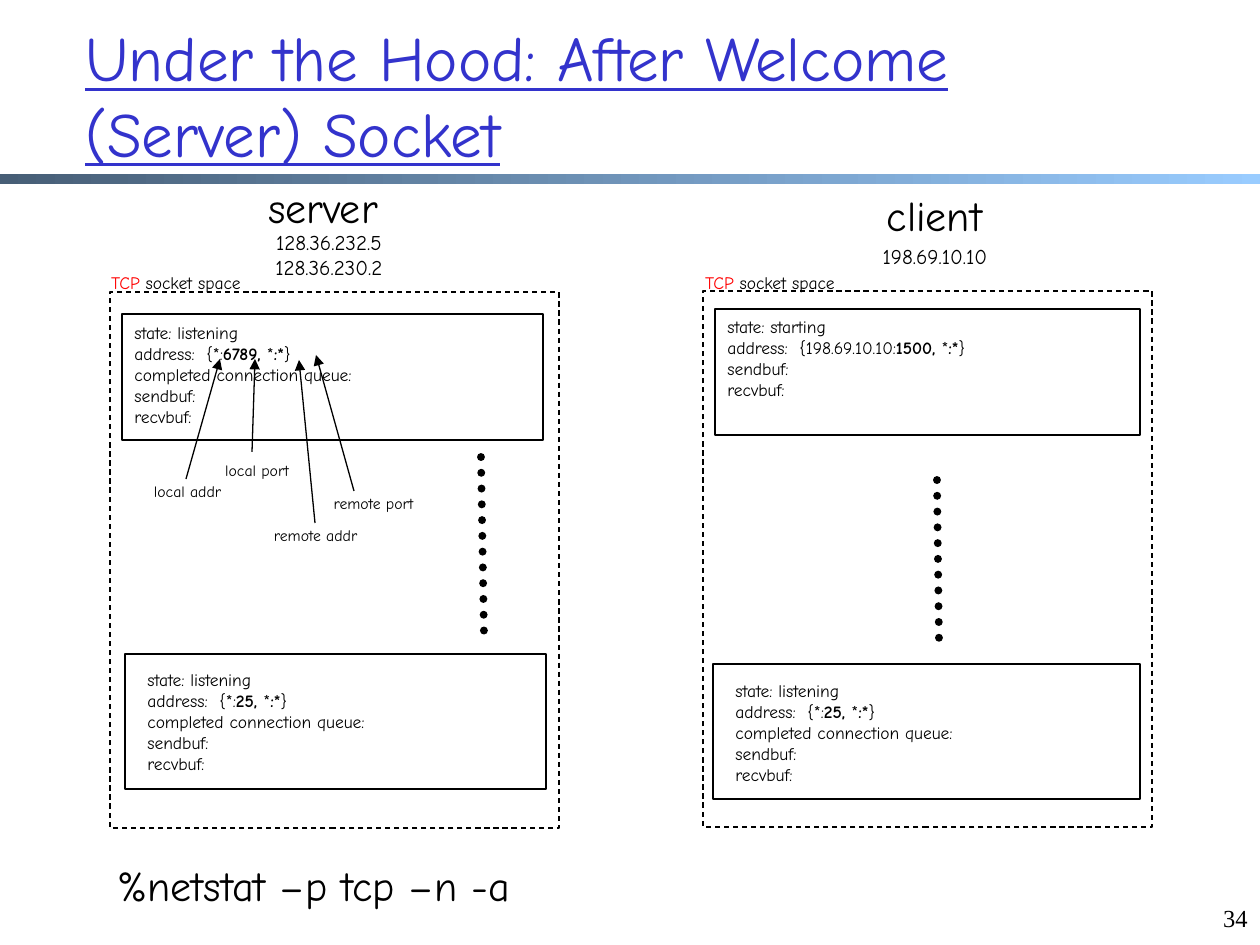
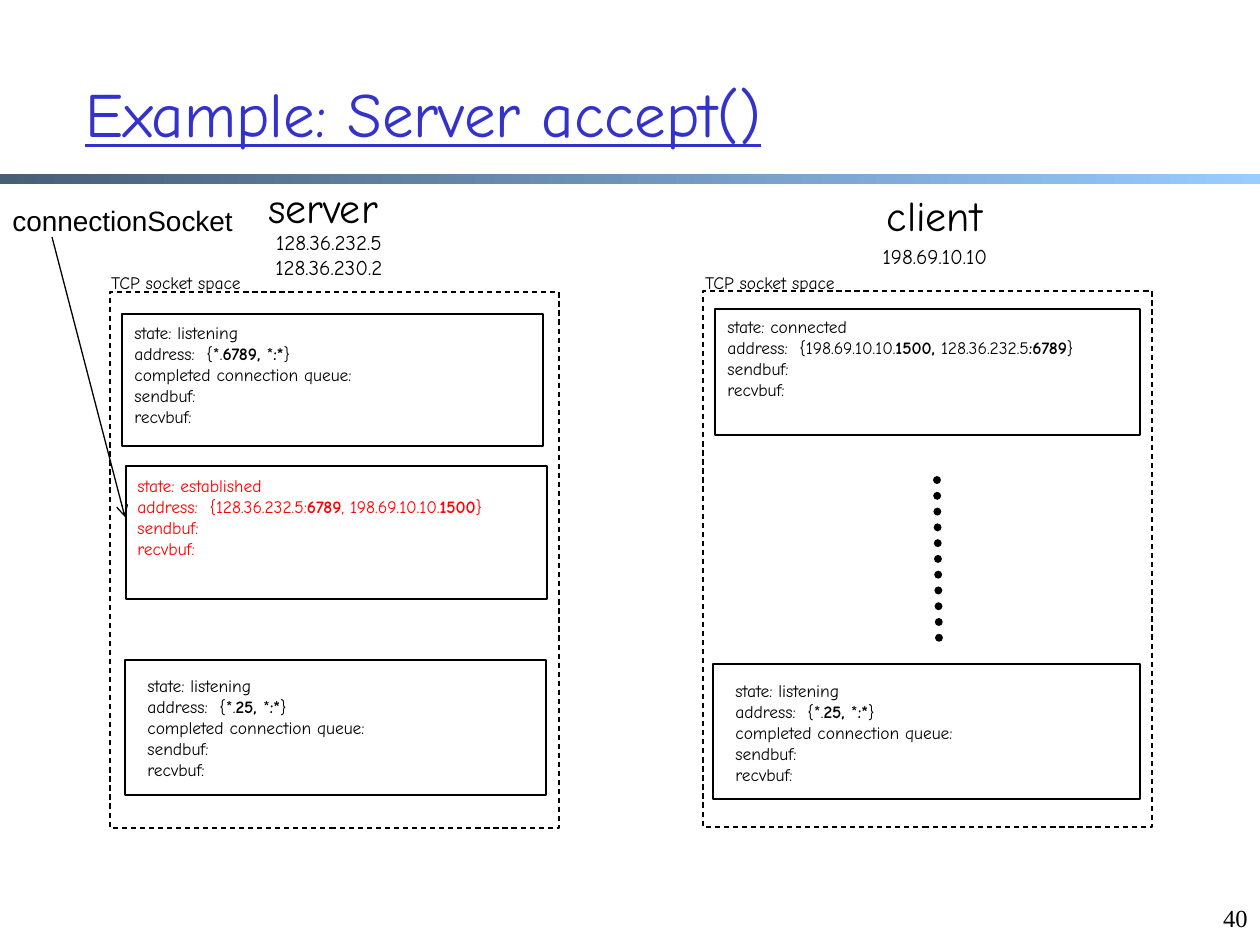
from lxml.etree import SubElement
from pptx import Presentation
from pptx.dml.color import RGBColor
from pptx.enum.dml import MSO_LINE
from pptx.enum.shapes import MSO_CONNECTOR, MSO_SHAPE
from pptx.enum.text import MSO_ANCHOR, MSO_AUTO_SIZE, PP_ALIGN
from pptx.oxml.ns import qn
from pptx.util import Pt

PX = 914400 / 126
BLACK = RGBColor(0, 0, 0)
RED = RGBColor(0xFF, 0, 0)
BLUE = RGBColor(0x33, 0x33, 0xCC)
STEEL = RGBColor(0x47, 0x5E, 0x76)
SKY = RGBColor(0x99, 0xCC, 0xFF)
FONT = "Comic Neue"
LEFT, MID, RIGHT = PP_ALIGN.LEFT, PP_ALIGN.CENTER, PP_ALIGN.RIGHT
BUFS = ["sendbuf:", "recvbuf:"]


def emu(*sizes):
    return [round(size * PX) for size in sizes]


class Deck:
    def __init__(self):
        self.prs = Presentation()
        self.prs.slide_width, self.prs.slide_height = emu(1260, 945)

    def start(self, title, top, number):
        self.slide = self.prs.slides.add_slide(self.prs.slide_layouts[6])
        self.band()
        head = self.text((73, top, 1110, 158), [title], 36, BLUE,
                         anchor=MSO_ANCHOR.MIDDLE)
        head.paragraphs[0].runs[0].font.underline = True
        self.text((1197, 897, 63, 48), [number], 14, align=RIGHT,
                  font="Times New Roman")

    def band(self):
        bar = self.slide.shapes.add_shape(MSO_SHAPE.RECTANGLE, *emu(0, 174, 1260, 10))
        bar.shadow.inherit = False
        bar.line.fill.background()
        bar.fill.gradient()
        bar.fill.gradient_angle = 0
        for stop, tone in zip(bar.fill.gradient_stops, (STEEL, SKY)):
            stop.color.rgb = tone

    def text(self, box, lines, size, color=BLACK, align=LEFT,
             anchor=MSO_ANCHOR.TOP, font=FONT):
        """Add lines of text; each bar in a line turns bold on or off."""
        frame = self.slide.shapes.add_textbox(*emu(*box)).text_frame
        frame.word_wrap = align != MID
        frame.vertical_anchor = anchor
        if align == MID:
            frame.auto_size = MSO_AUTO_SIZE.SHAPE_TO_FIT_TEXT
        for i, line in enumerate(lines):
            para = frame.add_paragraph() if i else frame.paragraphs[0]
            para.alignment = align
            for j, part in enumerate(line.split("|")):
                run = para.add_run()
                run.text = part
                run.font.bold = j % 2 == 1
                run.font.size = Pt(size)
                run.font.name = font
                run.font.color.rgb = color
        return frame

    def frame(self, box, dash=None):
        rect = self.slide.shapes.add_shape(MSO_SHAPE.RECTANGLE, *emu(*box))
        rect.shadow.inherit = False
        rect.fill.background()
        rect.line.color.rgb = BLACK
        rect.line.width = Pt(0.75)
        if dash:
            rect.line.dash_style = dash

    def line(self, ends, width=0.75):
        """Draw a straight line and return its a:ln element."""
        link = self.slide.shapes.add_connector(MSO_CONNECTOR.STRAIGHT, *emu(*ends))
        link.line.color.rgb = BLACK
        link.line.width = Pt(width)
        props = link._element.spPr
        SubElement(props, qn("a:effectLst"))
        return link, props.find(qn("a:ln"))

    def arrow(self, ends, head="triangle"):
        _, ln = self.line(ends)
        SubElement(ln, qn("a:tailEnd"), type=head)

    def dots(self, ends):
        link, ln = self.line(ends, 4.5)
        link.line.dash_style = MSO_LINE.ROUND_DOT
        ln.set("cap", "rnd")

    def state(self, box, pad, lines, color=BLACK):
        """Add a socket box, its text moved by pad from the corner."""
        x, y, w, h = box
        dx, dy = pad
        self.frame(box)
        self.text((x + dx, y + dy, w - dx, h - dy), lines, 10, color)

    def host(self, name, addrs, space, label, red):
        """Add a host's heading, its addresses and its socket space."""
        (name, name_box), (addrs, addr_box) = name, addrs
        self.text(name_box, [name], 24, align=MID, anchor=MSO_ANCHOR.MIDDLE)
        self.text(addr_box, addrs, 12, align=MID)
        self.frame(space, MSO_LINE.DASH)
        # A pair of bars splits off the protocol name as its own run.
        frame = self.text(label, ["TCP|| socket space"], 10, align=MID)
        if red:
            frame.paragraphs[0].runs[0].font.color.rgb = RED


def listen(port, mark):
    return ["state: listening", f"address:  {{*{mark}|{port}, |*|:*|}}",
            "completed connection queue:"] + BUFS


def hosts(deck, mark, mode, peer, tall, low, red=False):
    """Add what both slides share: two hosts and their sockets."""
    deck.host(("server", (247, 175, 152, 63)),
              (["128.36.232.5", "128.36.230.2"], (252, 223, 154, 63)),
              (110, 292, 449, 536), (93, 266, 166, 34), red)
    deck.host(("client", (867, 183, 135, 63)),
              (["198.69.10.10"], (862, 237, 146, 38)),
              (703, 291, 449, 536), (687, 266, 166, 34), red)
    deck.state((122, 314, 421, tall), (0, 2), listen(6789, mark))
    deck.state((125, low, 421, 135), (10, 9), listen(25, mark))
    deck.state((715, 309, 425, 126), (0, 1),
               [f"state: {mode}",
                f"address:  {{198.69.10.10{mark}|1500, |{peer}|}}"] + BUFS)
    deck.state((713, 664, 427, 135), (10, 10), listen(25, mark))
    deck.dots((937, 480, 939, 640))


def welcome(deck):
    deck.start("Under the Hood: After Welcome (Server) Socket", 15, "34")
    hosts(deck, ":", "starting", "*|:*", 126, 654, red=True)
    deck.dots((481, 457, 484, 633))
    parts = [
        ("local addr", (139, 476, 97, 32), (186, 479, 220, 359)),
        ("local port", (209, 455, 96, 32), (252, 452, 255, 359)),
        ("remote addr", (257, 520, 117, 32), (315, 523, 299, 360)),
        ("remote port", (316, 488, 115, 32), (354, 491, 316, 355)),
    ]
    for name, box, ends in parts:
        deck.text(box, [name], 9, align=MID)
        deck.arrow(ends)
    deck.text((105, 853, 500, 64), ["%netstat –p tcp –n -a"], 24)


def accept(deck):
    deck.start("Example: Server accept()", 33, "40")
    hosts(deck, ".", "connected", "128.36.232.5|:6789", 132, 660)
    deck.state((126, 466, 421, 133), (-1, 3),
               ["state: established",
                "address:  {128.36.232.5:|6789|, 198.69.10.10.|1500|}"] + BUFS, RED)
    deck.text((0, 197, 248, 47), ["connectionSocket"], 16, font="Arial")
    deck.arrow((52, 237, 125, 517), "arrow")


def main():
    deck = Deck()
    welcome(deck)
    accept(deck)
    deck.prs.save("out.pptx")


if __name__ == "__main__":
    main()
